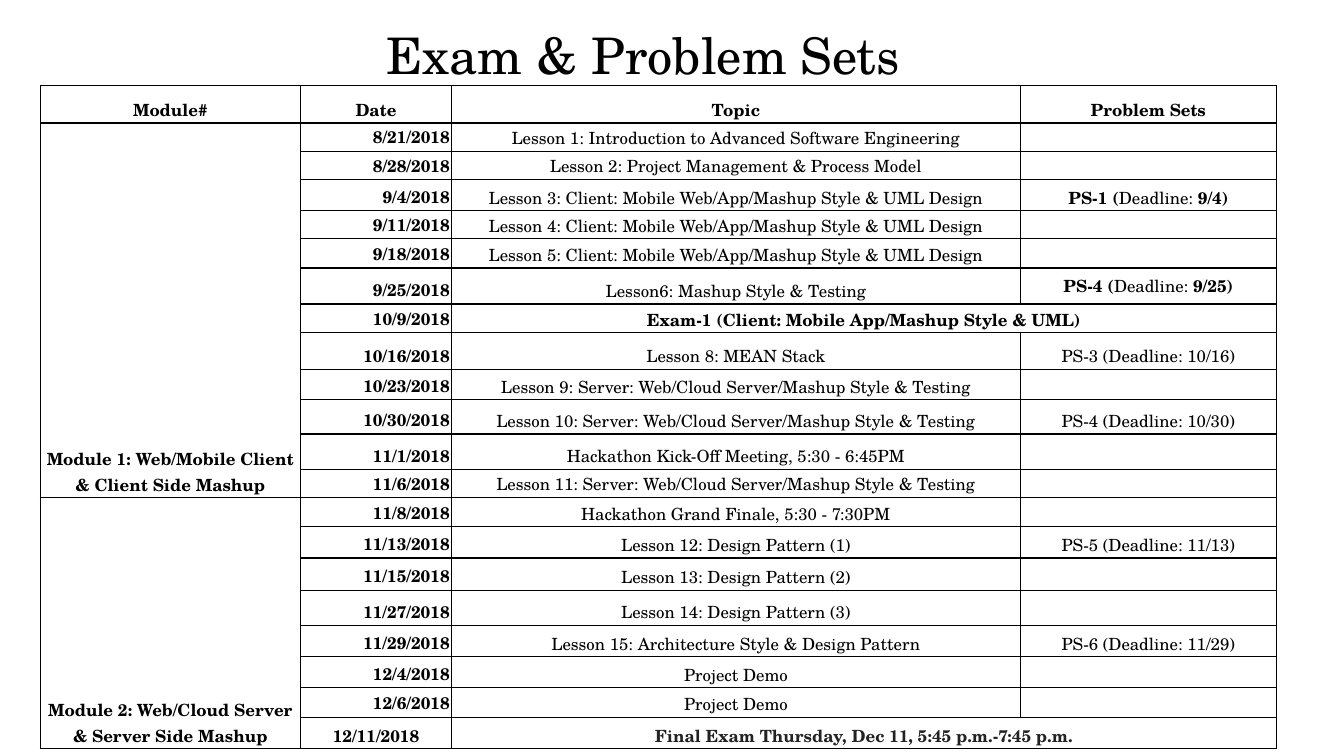
from lxml import etree
from pptx import Presentation
from pptx.dml.color import RGBColor
from pptx.enum.text import MSO_ANCHOR, PP_ALIGN
from pptx.oxml.ns import qn
from pptx.util import Inches, Pt

CENTER, RIGHT = PP_ALIGN.CENTER, PP_ALIGN.RIGHT
TOP, MIDDLE, BOTTOM = MSO_ANCHOR.TOP, MSO_ANCHOR.MIDDLE, MSO_ANCHOR.BOTTOM
BLACK = RGBColor(0x00, 0x00, 0x00)
CHARCOAL = RGBColor(0x22, 0x22, 0x22)
WHITE = RGBColor(0xFF, 0xFF, 0xFF)
FONT = "TeX Gyre Schola"

TITLE = "Exam & Problem Sets"
HEADERS = ("Module#", "Date", "Topic", "Problem Sets")
MODULES = [
    ("Module 1: Web/Mobile Client & Client Side Mashup", 1, 12),
    ("Module 2: Web/Cloud Server & Server Side Mashup", 13, 20),
]
SCHEDULE = [
    ("8/21/2018", "Lesson 1: Introduction to Advanced Software Engineering", ""),
    ("8/28/2018", "Lesson 2: Project Management & Process Model", ""),
    ("9/4/2018", "Lesson 3: Client: Mobile Web/App/Mashup Style & UML Design",
     ("PS-1 (", "Deadline: ", "9/4)")),
    ("9/11/2018", "Lesson 4: Client: Mobile Web/App/Mashup Style & UML Design", ""),
    ("9/18/2018", "Lesson 5: Client: Mobile Web/App/Mashup Style & UML Design", ""),
    ("9/25/2018", "Lesson6: Mashup Style & Testing", ("PS-4 (", "Deadline: ", "9/25)")),
    ("10/9/2018", "Exam-1 (Client: Mobile App/Mashup Style & UML)", None),
    ("10/16/2018", "Lesson 8: MEAN Stack", "PS-3 (Deadline: 10/16)"),
    ("10/23/2018", "Lesson 9: Server: Web/Cloud Server/Mashup Style & Testing", ""),
    ("10/30/2018", "Lesson 10: Server: Web/Cloud Server/Mashup Style & Testing",
     "PS-4 (Deadline: 10/30)"),
    ("11/1/2018", "Hackathon Kick-Off Meeting, 5:30 - 6:45PM", ""),
    ("11/6/2018", "Lesson 11: Server: Web/Cloud Server/Mashup Style & Testing", ""),
    ("11/8/2018", "Hackathon Grand Finale, 5:30 - 7:30PM", ""),
    ("11/13/2018", "Lesson 12: Design Pattern (1)", "PS-5 (Deadline: 11/13)"),
    ("11/15/2018", "Lesson 13: Design Pattern (2)", ""),
    ("11/27/2018", "Lesson 14: Design Pattern (3)", ""),
    ("11/29/2018", "Lesson 15: Architecture Style & Design Pattern", "PS-6 (Deadline: 11/29)"),
    ("12/4/2018", "Project Demo", ""),
    ("12/6/2018", "Project Demo", ""),
    ("12/11/2018", "Final Exam Thursday, Dec 11, 5:45 p.m.-7:45 p.m.", None),
]
COLUMN_WIDTHS = (2.58, 1.5, 5.64, 2.54)
ROW_HEIGHTS = (0.37, 0.28, 0.28, 0.31, 0.28, 0.29, 0.29, 0.28, 0.37, 0.3, 0.34,
               0.35, 0.28, 0.29, 0.31, 0.32, 0.35, 0.31, 0.31, 0.29, 0.31)
TIGHT, SNUG, ROOMY = (0.01, 0), (0.02, 0.01), (0.1, 0.05)
TIGHT_PROBLEM_DATE, TOP_PROBLEM_DATE = "9/4/2018", "9/25/2018"


def write_text(frame, text, size=12, bold=False, color=BLACK, align=CENTER):
    """Write text into a frame; the parts of a tuple alternate bold and regular."""
    paragraph = frame.paragraphs[0]
    paragraph.alignment = align
    parts = [(text, bold)] if isinstance(text, str) else [
        (part, index % 2 == 0) for index, part in enumerate(text)]
    for part, heavy in parts:
        if not part:
            etree.SubElement(paragraph._p, qn("a:endParaRPr"), sz=str(size * 100))
            continue
        run = paragraph.add_run()
        run.text = part
        run.font.name, run.font.size = FONT, Pt(size)
        run.font.bold, run.font.color.rgb = heavy, color
    return paragraph


def format_cell(cell):
    """Give a cell a white fill and a thin black border on every side."""
    cell.fill.solid()
    cell.fill.fore_color.rgb = WHITE
    properties = cell._tc.get_or_add_tcPr()
    for index, side in enumerate(("a:lnL", "a:lnR", "a:lnT", "a:lnB")):
        line = etree.Element(qn(side), w=str(Pt(1)))
        fill = etree.SubElement(line, qn("a:solidFill"))
        etree.SubElement(fill, qn("a:srgbClr"), val=str(BLACK))
        properties.insert(index, line)


def fill_cell(cell, text, inset=SNUG, anchor=BOTTOM, **text_format):
    """Set a cell's insets and anchor, then write its text."""
    cell.margin_left = cell.margin_right = Inches(inset[0])
    cell.margin_top = cell.margin_bottom = Inches(inset[1])
    cell.vertical_anchor = anchor
    write_text(cell.text_frame, text, **text_format)


def add_schedule(slide):
    """Add the course schedule table."""
    table = slide.shapes.add_table(
        len(ROW_HEIGHTS), len(COLUMN_WIDTHS), Inches(0.4), Inches(0.85),
        Inches(sum(COLUMN_WIDTHS)), Inches(sum(ROW_HEIGHTS))).table
    table.first_row = table.horz_banding = False
    for column, width in zip(table.columns, COLUMN_WIDTHS):
        column.width = Inches(width)
    for row, height in zip(table.rows, ROW_HEIGHTS):
        row.height = Inches(height)
    for cell in table.iter_cells():
        format_cell(cell)

    for column, header in enumerate(HEADERS):
        fill_cell(table.cell(0, column), header, inset=TIGHT, bold=True)
    for module, first, last in MODULES:
        table.cell(first, 0).merge(table.cell(last, 0))
        fill_cell(table.cell(first, 0), module, inset=TIGHT, bold=True)
    last_row = len(SCHEDULE)
    for row, (date, topic, problem) in enumerate(SCHEDULE, start=1):
        date_cell, topic_cell, problem_cell = [table.cell(row, column) for column in (1, 2, 3)]
        is_final, is_exam = row == last_row, problem is None
        fill_cell(date_cell, date, inset=TIGHT if is_final else SNUG, bold=True,
                  align=CENTER if is_final else RIGHT)
        fill_cell(topic_cell, topic, inset=TIGHT if is_exam else SNUG, bold=is_exam,
                  color=CHARCOAL if is_final else BLACK)
        if is_exam:
            topic_cell.merge(problem_cell)
        elif date == TOP_PROBLEM_DATE:
            fill_cell(problem_cell, problem, inset=ROOMY, anchor=TOP)
        else:
            fill_cell(problem_cell, problem,
                      inset=TIGHT if date == TIGHT_PROBLEM_DATE else SNUG)


def main():
    """Build the exam and problem set slide."""
    presentation = Presentation()
    presentation.slide_width, presentation.slide_height = Inches(13.33), Inches(7.5)
    slide = presentation.slides.add_slide(presentation.slide_layouts[5])
    title = slide.shapes.title
    title.left, title.top = Inches(0.63), Inches(0.15)
    title.width, title.height = Inches(11.5), Inches(0.86)
    title.text_frame.vertical_anchor = MIDDLE
    write_text(title.text_frame, TITLE, size=36).line_spacing = 0.9
    add_schedule(slide)
    presentation.save("out.pptx")


if __name__ == "__main__":
    main()
